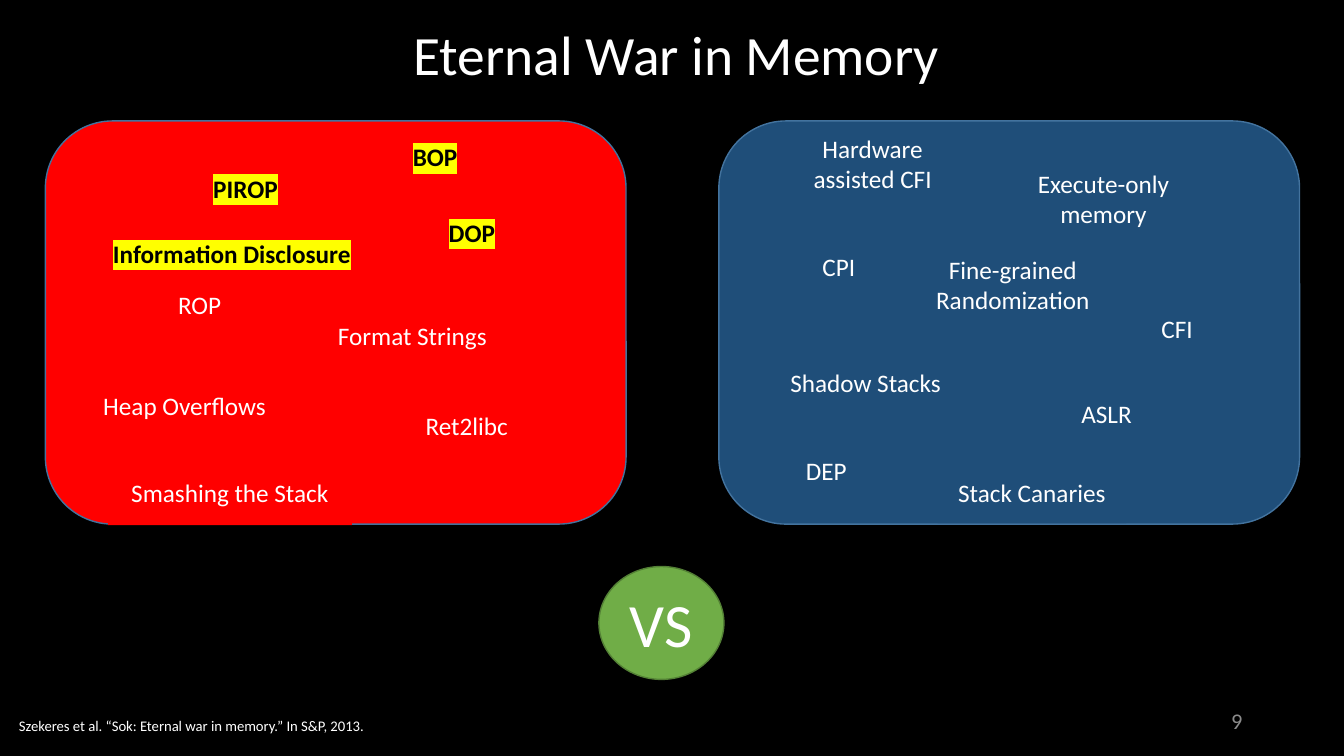
from typing import NamedTuple

from lxml import etree
from pptx import Presentation
from pptx.dml.color import RGBColor
from pptx.enum.shapes import MSO_SHAPE
from pptx.enum.text import MSO_ANCHOR, PP_ALIGN
from pptx.oxml.ns import qn
from pptx.util import Emu, Pt

RECT, ROUND, OVAL = MSO_SHAPE.RECTANGLE, MSO_SHAPE.ROUNDED_RECTANGLE, MSO_SHAPE.OVAL
LEFT, CENTER, RIGHT = PP_ALIGN.LEFT, PP_ALIGN.CENTER, PP_ALIGN.RIGHT
TOP, MIDDLE = MSO_ANCHOR.TOP, MSO_ANCHOR.MIDDLE

SCALE = 9144  # EMU per px, 100 px to the inch
FONT = "Calibri"
BLACK, WHITE, GRAY = "000000", "FFFFFF", "8C8C8C"
RED, NAVY, GREEN = "FF0000", "1F4E79", "70AD47"
EDGE, RIM, YELLOW = "43739E", "538035", "FFFF00"


class Box(NamedTuple):
    left: int
    top: int
    width: int
    height: int


class Label(NamedTuple):
    text: str
    box: Box
    marked: bool = False


ATTACKS = [
    Label("Smashing the Stack", Box(107, 456, 242, 65)),
    Label("Ret2libc", Box(388, 390, 150, 65)),
    Label("ROP", Box(143, 269, 110, 65)),
    Label("Information Disclosure", Box(95, 219, 270, 65), True),
    Label("DOP", Box(416, 198, 104, 65), True),
    Label("BOP", Box(386, 132, 91, 47), True),
    Label("Format Strings", Box(299, 300, 220, 65)),
    Label("Heap Overflows", Box(62, 370, 242, 65)),
    Label("PIROP", Box(192, 154, 103, 65), True),
]
DEFENSES = [
    Label("Stack Canaries", Box(930, 459, 187, 60)),
    Label("ASLR", Box(1004, 374, 187, 72)),
    Label("Fine-grained Randomization", Box(911, 246, 187, 72)),
    Label("Shadow Stacks", Box(765, 343, 187, 72)),
    Label("CPI", Box(799, 228, 66, 72)),
    Label("CFI", Box(1117, 290, 101, 72)),
    Label("Execute-only memory", Box(1001, 161, 187, 72)),
    Label("Hardware assisted CFI", Box(772, 126, 187, 72)),
    Label("DEP", Box(779, 431, 81, 72)),
]


def color(code: str) -> RGBColor:
    return RGBColor.from_string(code)


def place(box: Box) -> list[Emu]:
    return [Emu(side * SCALE) for side in box]


def write(shape, text: str, size: float, ink: str = WHITE,
          align=CENTER, anchor=MIDDLE):
    """Fill a shape with one paragraph and return that paragraph."""
    frame = shape.text_frame
    frame.word_wrap = True
    frame.vertical_anchor = anchor
    para = frame.paragraphs[0]
    para.text = text
    para.alignment = align
    para.font.name = FONT
    para.font.size = Pt(size)
    para.font.color.rgb = color(ink)
    return para


def add_text(slide, box: Box, text: str, size: float, ink: str = WHITE,
             align=CENTER, anchor=MIDDLE):
    shape = slide.shapes.add_textbox(*place(box))
    return write(shape, text, size, ink, align, anchor)


def add_form(slide, kind, box: Box, fill: str, line: str | None = None):
    shape = slide.shapes.add_shape(kind, *place(box))
    shape.shadow.inherit = False
    shape.fill.solid()
    shape.fill.fore_color.rgb = color(fill)
    if line:
        shape.line.color.rgb = color(line)
        shape.line.width = Pt(1)
    else:
        shape.line.fill.background()
    return shape


def add_label(slide, label: Label, fill: str) -> None:
    shape = add_form(slide, RECT, label.box, fill)
    para = write(shape, label.text, 18, BLACK if label.marked else WHITE)
    if label.marked:
        para.font.bold = True
        props = para.runs[0].font._element
        mark = etree.SubElement(props, qn("a:highlight"))
        etree.SubElement(mark, qn("a:srgbClr"), val=YELLOW)


def main() -> None:
    deck = Presentation()
    deck.slide_width, deck.slide_height = Emu(1333 * SCALE), Emu(750 * SCALE)
    slide = deck.slides.add_slide(deck.slide_layouts[6])
    slide.background.fill.solid()
    slide.background.fill.fore_color.rgb = color(BLACK)

    # Title and page number
    title = add_text(slide, Box(96, 21, 1150, 72), "Eternal War in Memory", 39.6)
    title.line_spacing = 0.9
    add_text(slide, Box(942, 695, 300, 40), "9", 16, GRAY, RIGHT)

    # Versus badge
    badge = add_form(slide, OVAL, Box(594, 562, 124, 112), GREEN, RIM)
    write(badge, "VS", 44)

    # Both panels, then their labels
    sides = [(45, RED, ATTACKS), (713, NAVY, DEFENSES)]
    for left, fill, labels in sides:
        add_form(slide, ROUND, Box(left, 120, 576, 400), fill, EDGE)
        for label in labels:
            add_label(slide, label, fill)

    # Citation
    add_text(slide, Box(9, 706, 1030, 28),
             "Szekeres et al. “Sok: Eternal war in memory.” In S&P, 2013.",
             10.5, WHITE, LEFT, TOP)

    deck.save("out.pptx")


if __name__ == "__main__":
    main()
